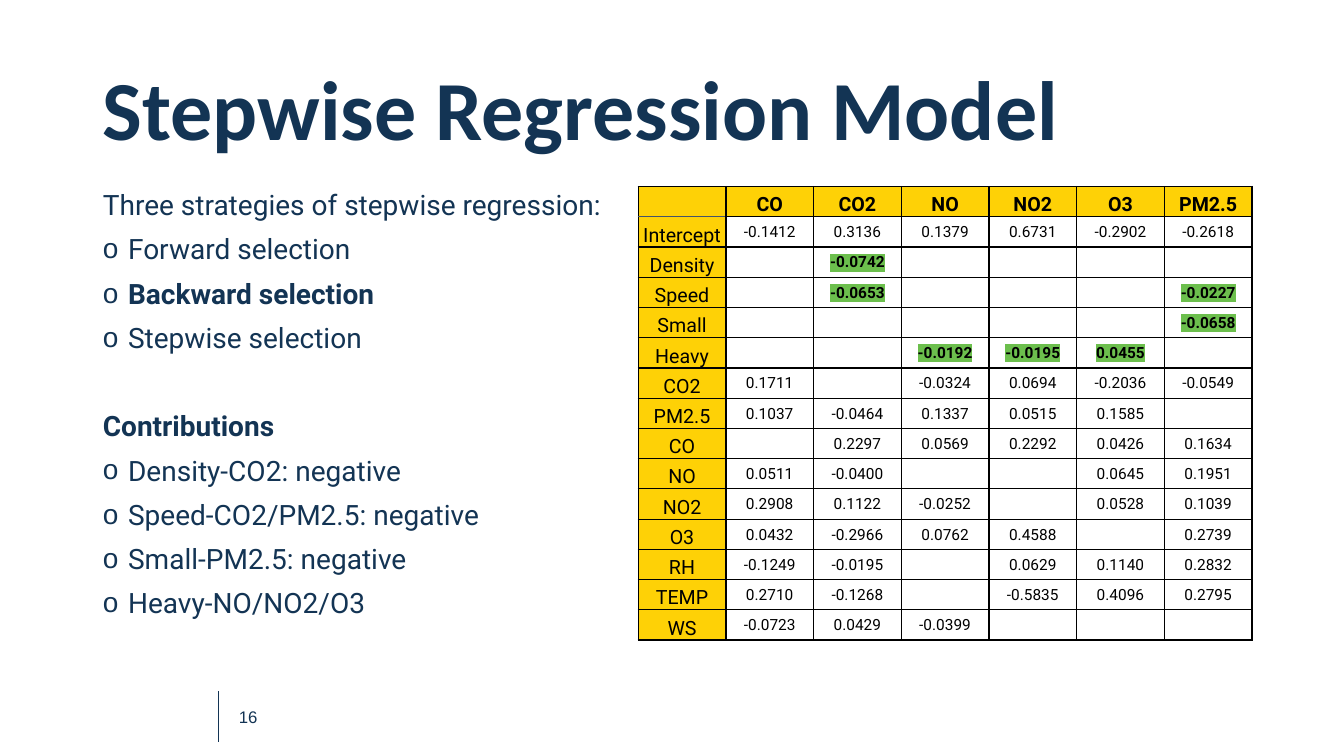
from dataclasses import dataclass

from lxml.etree import SubElement
from pptx import Presentation
from pptx.dml.color import RGBColor
from pptx.enum.shapes import MSO_CONNECTOR
from pptx.enum.text import MSO_ANCHOR, MSO_AUTO_SIZE, PP_ALIGN
from pptx.oxml.ns import qn
from pptx.util import Inches, Pt

TITLE = "Stepwise Regression Model"
SLIDE_NUMBER = "16"

# (text, is bulleted, is bold)
BODY_LINES = [
    ("Three strategies of stepwise regression:", False, False),
    ("Forward selection", True, False),
    ("Backward selection", True, True),
    ("Stepwise selection", True, False),
    ("Contributions", False, True),
    ("Density-CO2: negative", True, False),
    ("Speed-CO2/PM2.5: negative", True, False),
    ("Small-PM2.5: negative", True, False),
    ("Heavy-NO/NO2/O3", True, False),
]

COEFFICIENTS = [
    ("", "CO", "CO2", "NO", "NO2", "O3", "PM2.5"),
    ("Intercept", "-0.1412", "0.3136", "0.1379", "0.6731", "-0.2902", "-0.2618"),
    ("Density", "", "-0.0742", "", "", "", ""),
    ("Speed", "", "-0.0653", "", "", "", "-0.0227"),
    ("Small", "", "", "", "", "", "-0.0658"),
    ("Heavy", "", "", "-0.0192", "-0.0195", "0.0455", ""),
    ("CO2", "0.1711", "", "-0.0324", "0.0694", "-0.2036", "-0.0549"),
    ("PM2.5", "0.1037", "-0.0464", "0.1337", "0.0515", "0.1585", ""),
    ("CO", "", "0.2297", "0.0569", "0.2292", "0.0426", "0.1634"),
    ("NO", "0.0511", "-0.0400", "", "", "0.0645", "0.1951"),
    ("NO2", "0.2908", "0.1122", "-0.0252", "", "0.0528", "0.1039"),
    ("O3", "0.0432", "-0.2966", "0.0762", "0.4588", "", "0.2739"),
    ("RH", "-0.1249", "-0.0195", "", "0.0629", "0.1140", "0.2832"),
    ("TEMP", "0.2710", "-0.1268", "", "-0.5835", "0.4096", "0.2795"),
    ("WS", "-0.0723", "0.0429", "-0.0399", "", "", ""),
]
TRAFFIC_FACTORS = {"Density", "Speed", "Small", "Heavy"}


@dataclass(frozen=True)
class Theme:
    navy: str = "133454"
    black: str = "000000"
    slate: str = "44546A"
    yellow: str = "FED106"
    green: str = "6CBF4D"
    title_font: str = "Calibri"
    text_font: str = "Roboto"
    number_font: str = "Arial"
    title_size: int = 60
    body_size: int = 20
    label_size: int = 14
    number_size: int = 12
    value_size: int = 11


THEME = Theme()


def set_attributes(target, **values):
    for name, value in values.items():
        setattr(target, name, value)


def place(shape, left, top, width, height):
    set_attributes(shape, left=Inches(left), top=Inches(top),
                   width=Inches(width), height=Inches(height))


def add_run(paragraph, text, font_name, size, color, bold=False):
    run = paragraph.add_run()
    run.text = text
    set_attributes(run.font, name=font_name, size=Pt(size), bold=bold)
    run.font.color.rgb = RGBColor.from_string(color)
    return run


def add_solid_fill(parent, color):
    fill = SubElement(parent, qn("a:solidFill"))
    SubElement(fill, qn("a:srgbClr"), val=color)


def highlight(run, color):
    properties = run.font._element
    marker = SubElement(properties, qn("a:highlight"))
    SubElement(marker, qn("a:srgbClr"), val=color)
    properties.find(qn("a:solidFill")).addnext(marker)


def set_bullet(paragraph, bulleted):
    properties = paragraph._p.get_or_add_pPr()
    indent = Inches(0.25) if bulleted else 0
    properties.set("marL", str(indent))
    properties.set("indent", str(-indent))
    if bulleted:
        SubElement(properties, qn("a:buFont"), typeface=THEME.number_font)
        SubElement(properties, qn("a:buChar"), char="o")
    else:
        SubElement(properties, qn("a:buNone"))


def set_borders(cell, colors):
    """Draw the left, right, top and bottom borders in the given colours."""
    properties = cell._tc.get_or_add_tcPr()
    for side, color in zip("LRTB", colors):
        line = SubElement(properties, qn(f"a:ln{side}"), w=str(Pt(1)))
        add_solid_fill(line, color)


def add_title(slide):
    title = slide.shapes.title
    place(title, 0.92, 0.4, 11.5, 1.45)
    set_attributes(title.text_frame, vertical_anchor=MSO_ANCHOR.MIDDLE,
                   auto_size=MSO_AUTO_SIZE.NONE, word_wrap=True)
    paragraph = title.text_frame.paragraphs[0]
    set_attributes(paragraph, alignment=PP_ALIGN.LEFT, line_spacing=0.9)
    add_run(paragraph, TITLE, THEME.title_font, THEME.title_size, THEME.navy, True)


def add_body(slide):
    body = slide.placeholders[1]
    place(body, 0.92, 1.85, 5.41, 4.68)
    frame = body.text_frame
    set_attributes(frame, auto_size=MSO_AUTO_SIZE.NONE, word_wrap=True)
    for index, (text, bulleted, bold) in enumerate(BODY_LINES):
        paragraph = frame.add_paragraph() if index else frame.paragraphs[0]
        starts_section = index > 0 and not bulleted
        set_attributes(paragraph, line_spacing=0.9,
                       space_before=Pt(41.5 if starts_section else 10))
        set_bullet(paragraph, bulleted)
        add_run(paragraph, text, THEME.text_font, THEME.body_size, THEME.navy, bold)


def fill_cell(cell, text, row, column):
    is_label = row == 0 or column == 0
    is_key = not is_label and COEFFICIENTS[row][0] in TRAFFIC_FACTORS
    top = THEME.slate if (row, column) == (1, 0) else THEME.black
    bottom = THEME.slate if (row, column) == (0, 0) else THEME.black
    set_borders(cell, (THEME.black, THEME.black, top, bottom))
    if is_label:
        cell.fill.solid()
        cell.fill.fore_color.rgb = RGBColor.from_string(THEME.yellow)
    else:
        cell.fill.background()
    set_attributes(cell, margin_left=Inches(0.01), margin_right=Inches(0.01),
                   margin_top=Inches(0.01), margin_bottom=0,
                   vertical_anchor=MSO_ANCHOR.BOTTOM if is_label else MSO_ANCHOR.MIDDLE)
    paragraph = cell.text_frame.paragraphs[0]
    paragraph.alignment = PP_ALIGN.CENTER
    size = THEME.label_size if is_label else THEME.value_size
    if text:
        run = add_run(paragraph, text, THEME.text_font, size, THEME.black,
                      row == 0 or is_key)
        if is_key:
            highlight(run, THEME.green)
    else:
        SubElement(paragraph._p, qn("a:endParaRPr"), sz=str(size * 100))


def add_coefficient_table(slide):
    row_count, column_count = len(COEFFICIENTS), len(COEFFICIENTS[0])
    table = slide.shapes.add_table(row_count, column_count, Inches(6.33), Inches(1.85),
                                   Inches(6.09), Inches(4.5)).table
    set_attributes(table, first_row=False, horz_banding=False)
    for row, values in enumerate(COEFFICIENTS):
        for column, text in enumerate(values):
            fill_cell(table.cell(row, column), text, row, column)


def add_slide_number(slide):
    divider = slide.shapes.add_connector(MSO_CONNECTOR.STRAIGHT, Inches(2.17), Inches(6.86),
                                         Inches(2.17), Inches(7.36))
    divider.line.width = Pt(0.5)
    divider.line.color.rgb = RGBColor.from_string(THEME.navy)
    SubElement(divider._element.spPr, qn("a:effectLst"))
    box = slide.shapes.add_textbox(Inches(2.27), Inches(6.96), Inches(1.56), Inches(0.3))
    set_attributes(box.text_frame, word_wrap=True, vertical_anchor=MSO_ANCHOR.MIDDLE)
    add_run(box.text_frame.paragraphs[0], SLIDE_NUMBER, THEME.number_font,
            THEME.number_size, THEME.navy)


def main():
    presentation = Presentation()
    set_attributes(presentation, slide_width=Inches(13.33), slide_height=Inches(7.5))
    slide = presentation.slides.add_slide(presentation.slide_layouts[1])
    add_slide_number(slide)
    add_title(slide)
    add_body(slide)
    add_coefficient_table(slide)
    presentation.save("out.pptx")


if __name__ == "__main__":
    main()
